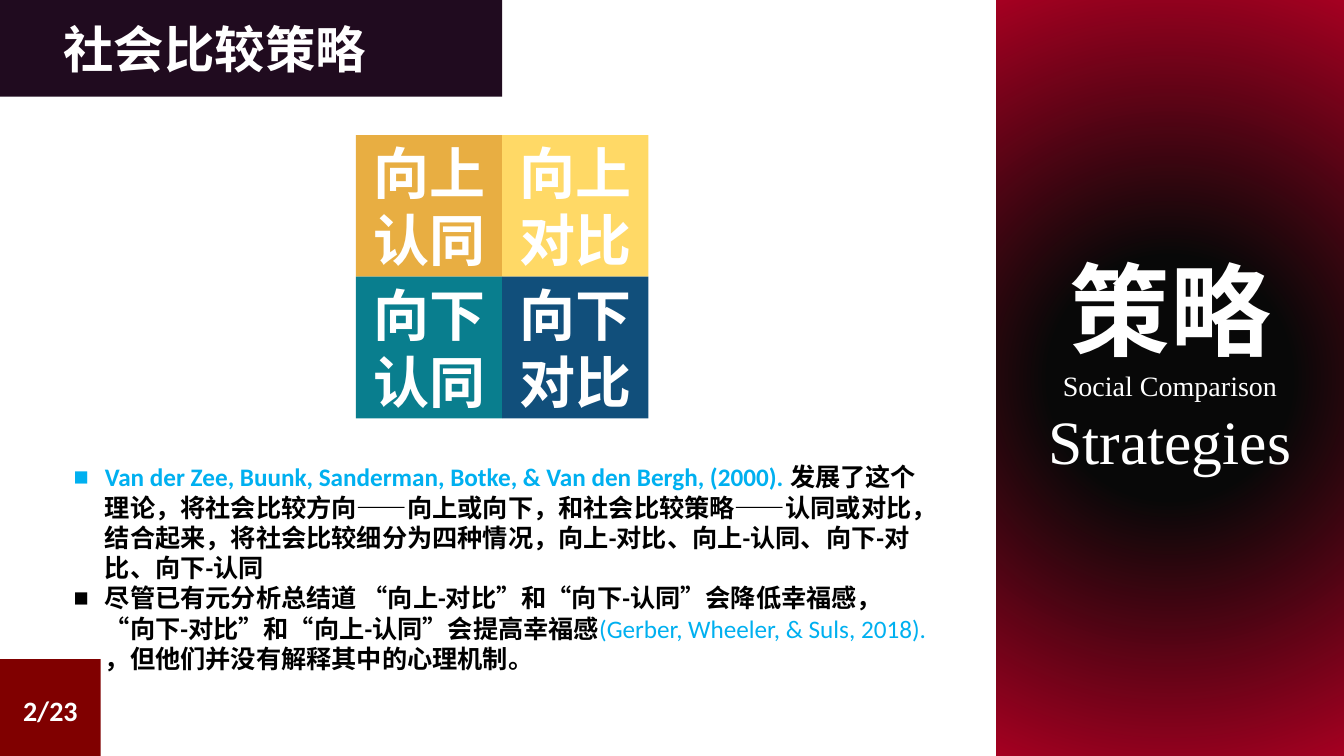
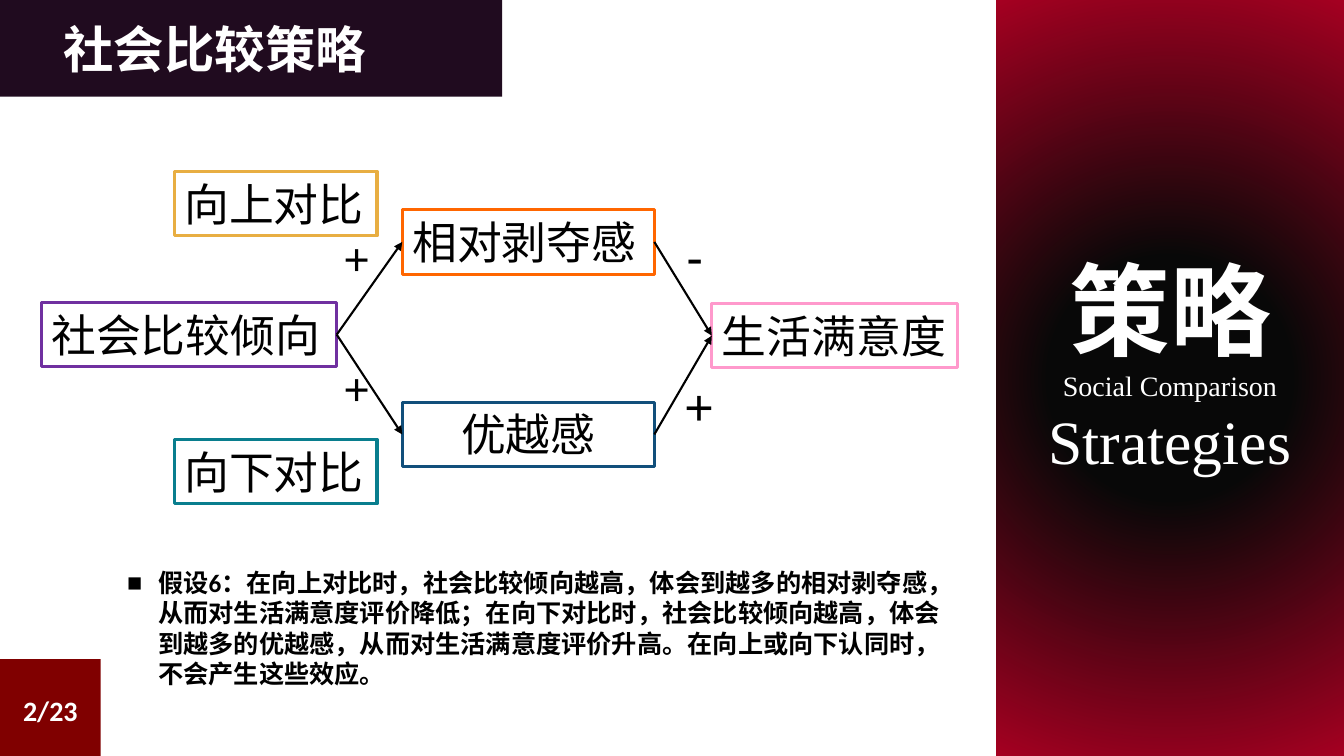
from dataclasses import dataclass, field

from lxml.etree import SubElement
from pptx import Presentation
from pptx.dml.color import RGBColor
from pptx.enum.lang import MSO_LANGUAGE_ID
from pptx.enum.shapes import MSO_CONNECTOR, MSO_SHAPE
from pptx.enum.text import MSO_ANCHOR, MSO_AUTO_SIZE, PP_ALIGN
from pptx.oxml.ns import qn
from pptx.util import Pt

PX = 9144
WIDE, HIGH = 1333, 750


@dataclass
class Theme:
    colors: dict = field(default_factory=lambda: dict(
        white="FFFFFF", black="000000", ink="080808", red="A50021",
        plum="200B1F", maroon="800000", sky="00B0F0", gold="E8AE42",
        yellow="FFD966", navy="114F7B", teal="097E8E", orange="FF6600",
        pink="FF99CC", purple="7030A0"))
    fonts: dict = field(default_factory=lambda: dict(
        title=("Times New Roman", 36, True, "white"),
        page=("Calibri", 20, True, "white"),
        head=("Arial", 72, True, "white"),
        small=("Times New Roman", 20, False, "white"),
        large=("Times New Roman", 44, False, "white"),
        body=("Calibri", 18, True, "black"),
        cite=("Calibri", 18, True, "sky"),
        light=("Calibri", 18, False, "sky"),
        tile=("Arial", 40, True, "white"),
        node=("Arial", 32, False, "black"),
        sign=("Arial", 36, False, "black")))
    edge: float = 2.25
    arrow: float = 1.5

    def color(self, name):
        return RGBColor.from_string(self.colors[name])


THEME = Theme()
LEFT, MID = PP_ALIGN.LEFT, PP_ALIGN.CENTER

TITLE = "社会比较策略"
TITLE_BOX = (53, 13, 332, 71)
BANDS = [((988, 0, 345, HIGH), "red"),
         ((0, 0, 498, 96), "plum"),
         ((0, 654, 100, 96), "maroon")]
LABELS = [((0, 683, 100, 44), [[("2/23", "page")]]),
          ((1007, 241, 307, 239), [[("策略", "head")],
                                   [("Social Comparison", "small")],
                                   [("Strategies", "large")]])]

THEORY_BOX = (63, 453, 870, 222)
THEORY = [
    [("Van der Zee, Buunk, Sanderman, Botke, & Van den Bergh, (2000). ", "cite"),
     ("发展了这个理论，将社会比较方向——向上或向下，和社会比较策略——认同或对比，"
      "结合起来，将社会比较细分为四种情况，向上-对比、向上-认同、向下-对比、向下-认同", "body")],
    [("尽管已有元分析总结道 “向上-对比”和“向下-认同”会降低幸福感，"
      "“向下-对比”和“向上-认同”会提高幸福感", "body"),
     ("(Gerber, Wheeler, & Suls, 2018). ", "light"),
     ("，但他们并没有解释其中的心理机制。", "body")]]

GRID = (353, 134, 145, 140.5)
TILES = [[(["向上", "认同"], "gold"), (["向上", "对比"], "yellow")],
         [(["向下认同"], "teal"), (["向下对比"], "navy")]]

GUESS_BOX = (116, 558, 834, 131)
GUESS = [[
    ("假设6：在向上对比时，社会比较倾向越高，体会到越多的相对剥夺感，从而对生活满意度评价降低；"
     "在向下对比时，社会比较倾向越高，体会到越多的优越感，从而对生活满意度评价升高。"
     "在向上或向下认同时，不会产生这些效应。", "body")]]

TALL = 64
NODES = {"向下对比": (173, 436, 201, "teal", LEFT),
         "优越感": (399, 399, 250, "navy", MID),
         "生活满意度": (706, 301, 244, "pink", LEFT),
         "向上对比": (173, 170, 201, "gold", LEFT),
         "相对剥夺感": (399, 208, 250, "orange", LEFT),
         "社会比较倾向": (41, 300, 293, "purple", LEFT)}
LINKS = [("社会比较倾向", "优越感"), ("社会比较倾向", "相对剥夺感"),
         ("优越感", "生活满意度"), ("相对剥夺感", "生活满意度")]
SIGNS = [("+", 331, 353, "node"), ("+", 331, 224, "node"),
         ("+", 669, 367, "sign"), ("-", 671, 218, "sign")]


def emu(box):
    return [round(n * PX) for n in box]


def apply(item, **values):
    for key, value in values.items():
        setattr(item, key, value)


def place(shape, box):
    apply(shape, **dict(zip(("left", "top", "width", "height"), emu(box))))


def write(shape, paras, align=LEFT, anchor=MSO_ANCHOR.TOP, list_=False):
    frame = shape.text_frame
    apply(frame, word_wrap=True, auto_size=MSO_AUTO_SIZE.NONE,
          vertical_anchor=anchor)
    for i, runs in enumerate(paras):
        para = frame.add_paragraph() if i else frame.paragraphs[0]
        apply(para, alignment=align, space_before=Pt(0))
        if list_:
            mark(para)
        for text, style in runs:
            run = para.add_run()
            run.text = text
            name, size, bold, color = THEME.fonts[style]
            apply(run.font, name=name, size=Pt(size), bold=bold,
                  language_id=MSO_LANGUAGE_ID.SIMPLIFIED_CHINESE)
            run.font.color.rgb = THEME.color(color)


def mark(para):
    props = para._p.get_or_add_pPr()
    props.set("marL", str(31 * PX))
    props.set("indent", str(-31 * PX))
    SubElement(props, qn("a:buFont"), typeface="Arial")
    SubElement(props, qn("a:buChar"), char="■")


def rect(slide, box, fill=None, edge=None):
    shape = slide.shapes.add_shape(MSO_SHAPE.RECTANGLE, *emu(box))
    shape.shadow.inherit = False
    if fill:
        shape.fill.solid()
        shape.fill.fore_color.rgb = THEME.color(fill)
    else:
        shape.fill.background()
    if edge:
        shape.line.color.rgb = THEME.color(edge)
        shape.line.width = Pt(THEME.edge)
    else:
        shape.line.fill.background()
    return shape


def label(slide, box, paras, align=LEFT):
    shape = slide.shapes.add_textbox(*emu(box))
    write(shape, paras, align)
    return shape


def glow(shape):
    shape.fill.gradient()
    stops = zip(shape.fill.gradient_stops, ((0.29, "ink"), (1, "red")))
    for stop, (spot, color) in stops:
        stop.position = spot
        stop.color.rgb = THEME.color(color)
    grad = shape.element.spPr.find(qn("a:gradFill"))
    grad.remove(grad.find(qn("a:lin")))
    ring = SubElement(grad, qn("a:path"), path="circle")
    SubElement(ring, qn("a:fillToRect"),
               {side: "50000" for side in "ltrb"})


def dress(slide, layout):
    for holder in list(layout.placeholders)[2:]:
        holder.element.getparent().remove(holder.element)
    bands = [rect(slide, box, fill) for box, fill in BANDS]
    glow(bands[0])
    labels = [label(slide, box, paras, MID) for box, paras in LABELS]
    for shape in bands + labels:
        layout.shapes.element.append(shape.element)


def fill_in(slide, box, paras):
    title, body = slide.placeholders
    place(title, TITLE_BOX)
    write(title, [[(TITLE, "title")]])
    place(body, box)
    write(body, paras, list_=True)


def draw_grid(slide):
    left, top, wide, high = GRID
    for i, row in enumerate(TILES):
        for j, (lines, fill) in enumerate(row):
            tile = rect(slide, (left + j * wide, top + i * high, wide, high), fill)
            write(tile, [[(line, "tile")] for line in lines], MID,
                  MSO_ANCHOR.MIDDLE)


def link(slide, start, end):
    line = slide.shapes.add_connector(MSO_CONNECTOR.STRAIGHT, 0, 0, 0, 0)
    line.begin_connect(start, 3)
    line.end_connect(end, 1)
    line.line.color.rgb = THEME.color("black")
    line.line.width = Pt(THEME.arrow)
    props = line.element.spPr
    SubElement(props.find(qn("a:ln")), qn("a:tailEnd"), type="triangle")
    SubElement(props, qn("a:effectLst"))


def draw_model(slide):
    nodes = {}
    for text, (left, top, wide, edge, align) in NODES.items():
        nodes[text] = rect(slide, (left, top, wide, TALL), edge=edge)
        write(nodes[text], [[(text, "node")]], align)
    for start, end in LINKS:
        link(slide, nodes[start], nodes[end])
    for text, left, top, style in SIGNS:
        label(slide, (left, top, 43, TALL), [[(text, style)]])


def main():
    deck = Presentation()
    apply(deck, slide_width=WIDE * PX, slide_height=HIGH * PX)
    layout = deck.slide_layouts[1]
    pages = [(THEORY_BOX, THEORY, draw_grid), (GUESS_BOX, GUESS, draw_model)]
    for i, (box, paras, draw) in enumerate(pages):
        slide = deck.slides.add_slide(layout)
        if not i:
            dress(slide, layout)
        fill_in(slide, box, paras)
        draw(slide)
    deck.save("out.pptx")


if __name__ == "__main__":
    main()
